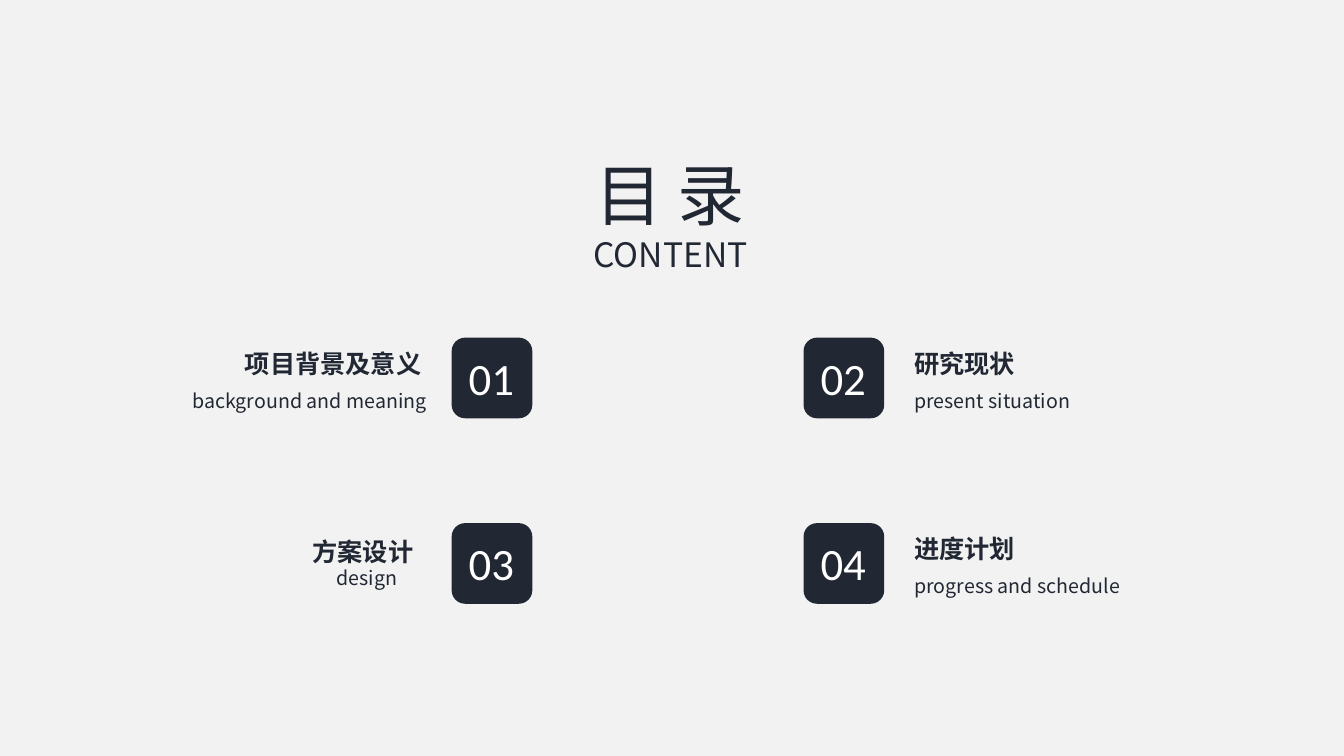
import pptx
import pptx.util
import pptx.dml.color
import pptx.enum.shapes
import pptx.enum.text
import pptx.oxml.ns
from lxml import etree

TITLE = [("目 录", 48), ("CONTENT", 24)]
# number, then (text, left, width, drop below badge top) for heading and caption
TOPICS = [
    ("01", ("项目背景及意义", 2.33, 1.96, 0.06), ("background and meaning", 1.81, 2.6, 0.46)),
    ("02", ("研究现状", 8.97, 1.71, 0.06), ("present situation", 8.97, 1.77, 0.46)),
    ("03", ("方案设计", 3, 1.29, 0.08), ("design", 3.24, 0.82, 0.38)),
    ("04", ("进度计划", 8.97, 1.7, 0.05), ("progress and schedule", 8.97, 2.3, 0.45)),
]
THEME = dict(ink="212833", paper="F2F2F2", white="FFFFFF",
             font="Noto Sans CJK SC", digits="Calibri",
             number=32, heading=18, caption=14)
SLIDE_W, SLIDE_H = 13.33, 7.5
GRID_LEFT, GRID_TOP = 4.48, 3.35
COL_STEP, ROW_STEP = 3.49, 1.84
BADGE = 0.8
NUMBER_W, NUMBER_H = 0.66, 0.64

IN = pptx.util.Inches
ALIGN = pptx.enum.text.PP_ALIGN


def rgb(name):
    return pptx.dml.color.RGBColor.from_string(THEME[name])


def add_text(s, lines, left, top, width, height, color="ink", font="font",
             bold=False, align=ALIGN.LEFT, wrap=False):
    """Add a text box with one paragraph for each (text, size) pair."""
    tf = s.shapes.add_textbox(IN(left), IN(top), IN(width), IN(height)).text_frame
    tf.word_wrap = wrap
    tf.auto_size = pptx.enum.text.MSO_AUTO_SIZE.SHAPE_TO_FIT_TEXT
    for i, (text, size) in enumerate(lines):
        p = tf.add_paragraph() if i else tf.paragraphs[0]
        p.alignment = align
        r = p.add_run()
        r.text = text
        r.font.size = pptx.util.Pt(size)
        r.font.bold = bold
        r.font.color.rgb = rgb(color)
        r.font.name = THEME[font]
        etree.SubElement(r.font._element, pptx.oxml.ns.qn("a:ea"), typeface=THEME[font])


def add_badge(s, left, top, number):
    sp = s.shapes.add_shape(pptx.enum.shapes.MSO_SHAPE.ROUNDED_RECTANGLE,
                            IN(left), IN(top), IN(BADGE), IN(BADGE))
    sp.shadow.inherit = False
    sp.fill.solid()
    sp.fill.fore_color.rgb = rgb("ink")
    sp.line.fill.background()
    add_text(s, [(number, THEME["number"])], left + (BADGE - NUMBER_W) / 2,
             top + (BADGE - NUMBER_H) / 2, NUMBER_W, NUMBER_H,
             color="white", font="digits")


def main():
    prs = pptx.Presentation()
    prs.slide_width, prs.slide_height = IN(SLIDE_W), IN(SLIDE_H)
    s = prs.slides.add_slide(prs.slide_layouts[6])
    s.background.fill.solid()
    s.background.fill.fore_color.rgb = rgb("paper")

    for i, (number, heading, caption) in enumerate(TOPICS):
        row, col = divmod(i, 2)
        top = GRID_TOP + row * ROW_STEP
        add_badge(s, GRID_LEFT + col * COL_STEP, top, number)
        text, left, width, drop = caption
        add_text(s, [(text, THEME["caption"])], left, top + drop, width, 0.34)
        text, left, width, drop = heading
        add_text(s, [(text, THEME["heading"])], left, top + drop, width, 0.4,
                 bold=True, wrap=True)

    add_text(s, TITLE, 5.75, 1.47, 1.8, 1.31, align=ALIGN.CENTER)
    prs.save("out.pptx")


if __name__ == "__main__":
    main()
